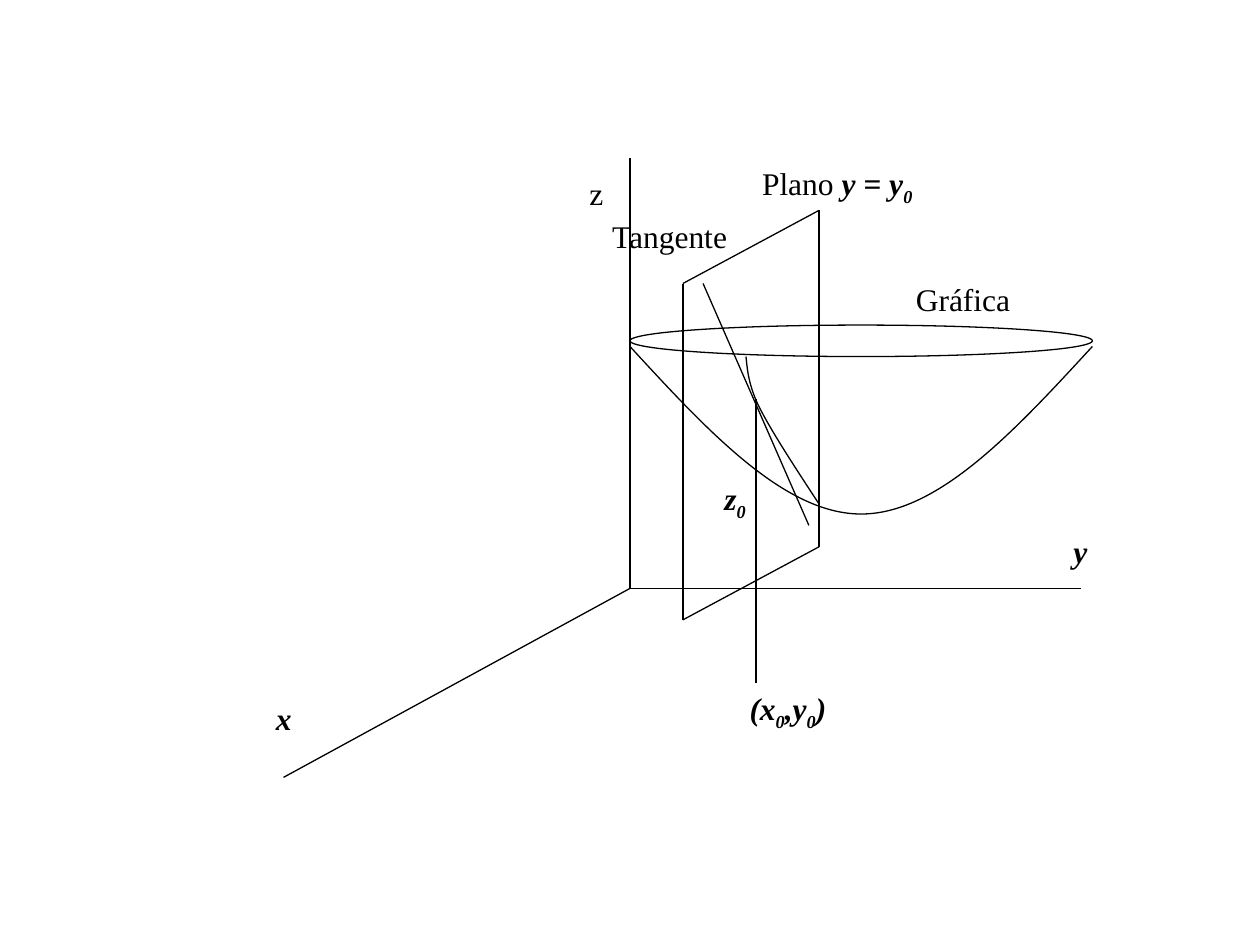
import pptx
import pptx.dml.color
import pptx.enum.shapes
import pptx.enum.text
import pptx.oxml.ns
import pptx.util
from lxml import etree

Inches = pptx.util.Inches
COLORS = {"ink": "000000", "paper": "FFFFFF"}
FONT = "Times New Roman"
PLAIN, MATH, SUB = "plain", "math", "sub"


def rgb(name):
    """Return the named colour."""
    return pptx.dml.color.RGBColor.from_string(COLORS[name])


def ink_outline(shape):
    """Give a shape or connector the thin black line."""
    shape.line.color.rgb = rgb("ink")
    shape.line.width = pptx.util.Pt(0.75)


def draw_segment(shapes, origin, start, end):
    """Draw a straight line between two points relative to the origin."""
    left, top = origin
    segment = shapes.add_connector(
        pptx.enum.shapes.MSO_CONNECTOR.STRAIGHT,
        Inches(left + start[0]), Inches(top + start[1]),
        Inches(left + end[0]), Inches(top + end[1]))
    ink_outline(segment)
    etree.SubElement(segment._element.spPr, pptx.oxml.ns.qn("a:effectLst"))


def draw_curve(shapes, origin, points):
    """Draw joined cubic curves: a start, then two controls and an end each."""
    left, top = origin
    placed = [(Inches(left + x), Inches(top + y)) for x, y in points]
    builder = shapes.build_freeform(*placed[0])
    builder.add_line_segments(placed[1:], close=False)
    curve = builder.convert_to_shape()
    lines = list(curve._element.iter(pptx.oxml.ns.qn("a:lnTo")))
    for first in range(0, len(lines), 3):
        bezier = etree.Element(pptx.oxml.ns.qn("a:cubicBezTo"))
        lines[first].addprevious(bezier)
        for line in lines[first:first + 3]:
            bezier.append(line[0])
            line.getparent().remove(line)
    curve.fill.background()
    ink_outline(curve)
    curve.shadow.inherit = False


def draw_label(shapes, box, pieces, wrap=False, centred=False):
    """Write a label from (text, style) pieces."""
    label = shapes.add_textbox(*map(Inches, box))
    frame = label.text_frame
    frame.word_wrap = wrap
    frame.auto_size = pptx.enum.text.MSO_AUTO_SIZE.SHAPE_TO_FIT_TEXT
    paragraph = frame.paragraphs[0]
    if centred:
        paragraph.alignment = pptx.enum.text.PP_ALIGN.CENTER
    for text, style in pieces:
        run = paragraph.add_run()
        run.text = text
        run.font.name = FONT
        run.font.size = pptx.util.Pt(18)
        run.font.color.rgb = rgb("ink")
        if style != PLAIN:
            run.font.bold = run.font.italic = True
        if style == SUB:
            run.font._element.set("baseline", "-25000")


def draw_axes(shapes, box):
    """Draw the x, y and z axes with their names."""
    left, top, width, height = box
    corner = (2.75, 3.42)
    for end in ((0, height), (width, corner[1]), (corner[0], 0)):
        draw_segment(shapes, (left, top), corner, end)
    draw_label(shapes, (left - 0.16, top + 4.25, 0.32, 0.4), [("x", MATH)])
    draw_label(shapes, (left + 6.17, top + 2.92, 0.31, 0.4), [("y", MATH)])
    draw_label(shapes, (left + 2.33, top + 0.08, 0.42, 0.4), [("z", PLAIN)], wrap=True)


def draw_surface(shapes, box):
    """Draw the bowl-shaped graph as a rim and a profile."""
    left, top, width, height = box
    rim_height = 0.25
    bowl = shapes.add_group_shape()
    rim = bowl.shapes.add_shape(
        pptx.enum.shapes.MSO_SHAPE.OVAL,
        *map(Inches, (left, top, width, rim_height)))
    rim.fill.background()
    ink_outline(rim)
    rim.shadow.inherit = False
    start, depth = 0.17, height - 0.17
    heights = (0, 0.5, 1, 1, 1, 0.5, 0)
    profile = [(width * step / 6, start + depth * level)
               for step, level in enumerate(heights)]
    draw_curve(bowl.shapes, (left, top), profile)
    draw_label(shapes, (left + 2.17, top - 0.41, 0.95, 0.4), [("Gráfica", PLAIN)])


def draw_plane(shapes, box):
    """Draw the vertical plane y = y0 as a parallelogram with its label."""
    left, top, width, height = box
    slant = 0.58
    corners = [(width, 0), (0, slant), (0, height), (width, height - slant)]
    for start, end in zip(corners, corners[1:] + corners[:1]):
        draw_segment(shapes, (left, top), start, end)
    draw_label(shapes, (left + 0.41, top - 0.42, 1.63, 0.44),
               [("Plano ", PLAIN), ("y = y", MATH), ("0", SUB)],
               wrap=True, centred=True)


def draw_tangent(shapes, box):
    """Draw the section curve, its tangent and the height z0 of the point."""
    left, top, width, height = box
    origin = (left, top)
    draw_segment(shapes, origin, (0.42, height), (0.42, 0.92))
    draw_curve(shapes, origin, [(0.92, 1.75), (0.73, 1.46), (0.54, 1.17),
                                (0.44, 0.97), (0.35, 0.78), (0.35, 0.65),
                                (0.34, 0.58)])
    draw_segment(shapes, origin, (0, 0), (0.84, 1.92))
    draw_label(shapes, (left - 0.83, top - 0.58, 1.13, 0.4),
               [("Tangente", PLAIN)], centred=True)
    draw_label(shapes, (left + 0.07, top + 1.5, 0.52, 0.44),
               [("z", MATH), ("0", SUB)], wrap=True)
    draw_label(shapes, (left + 0.27, top + height, 0.81, 0.44),
               [("(x", MATH), ("0", SUB), (",y", MATH), ("0", SUB), (")", MATH)])


def main():
    """Build the slide and save it."""
    deck = pptx.Presentation()
    deck.slide_width, deck.slide_height = Inches(10), Inches(7.5)
    slide = deck.slides.add_slide(deck.slide_layouts[6])
    slide.background.fill.solid()
    slide.background.fill.fore_color.rgb = rgb("paper")
    draw_axes(slide.shapes, (2.25, 1.25, 6.33, 4.92))
    draw_surface(slide.shapes, (5, 2.58, 3.67, 1.5))
    draw_plane(slide.shapes, (5.42, 1.67, 1.08, 3.25))
    draw_tangent(slide.shapes, (5.58, 2.25, 0.92, 3.17))
    deck.save("out.pptx")


if __name__ == "__main__":
    main()
